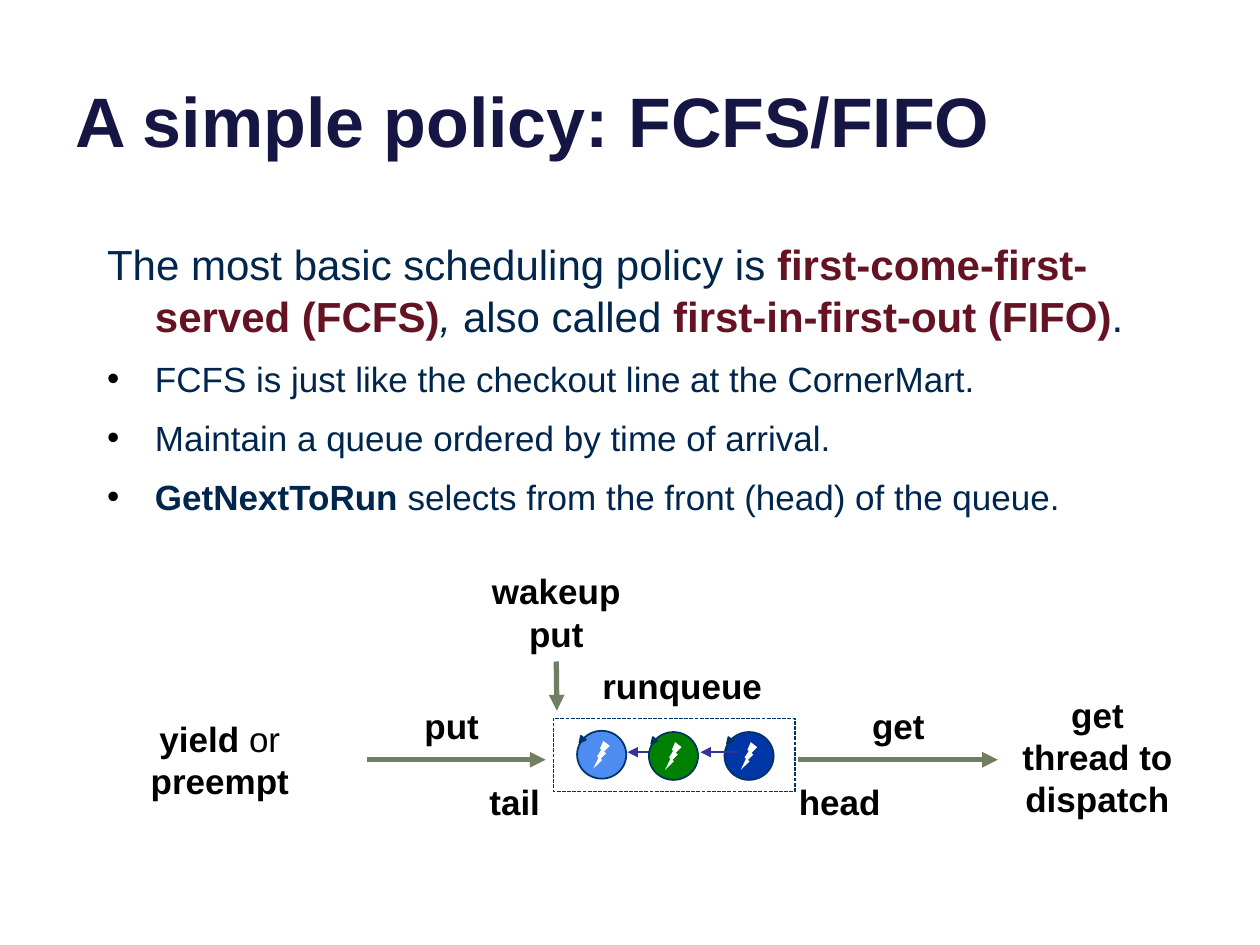
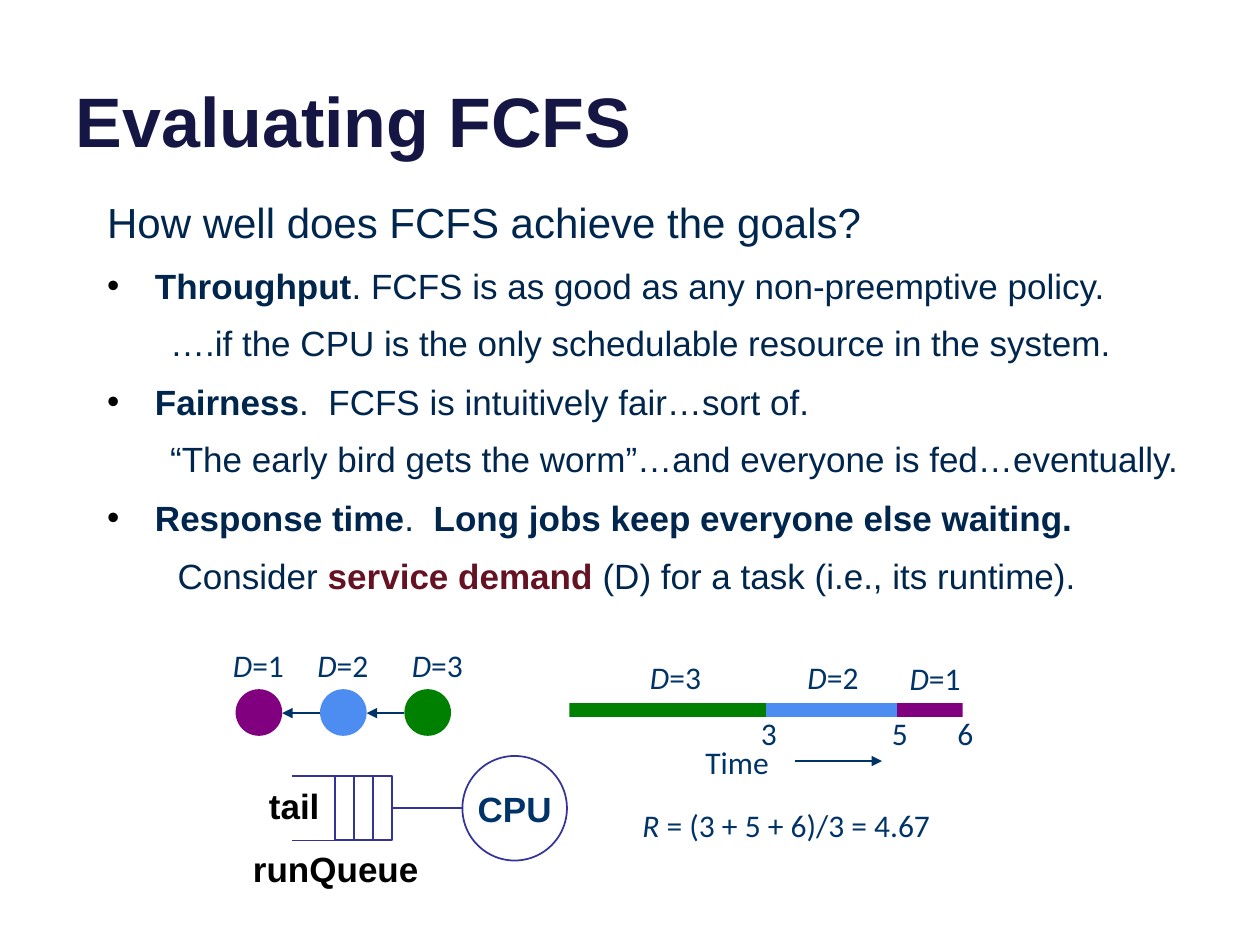
"""Builds two slides on first-come-first-served scheduling."""
from itertools import accumulate

from lxml.etree import SubElement
from pptx import Presentation
from pptx.dml.color import RGBColor
from pptx.enum.dml import MSO_LINE as Dash
from pptx.enum.shapes import MSO_CONNECTOR as Connector, MSO_SHAPE as Shape
from pptx.enum.text import MSO_ANCHOR as Anchor, MSO_AUTO_SIZE as AutoSize, PP_ALIGN as Align
from pptx.oxml.ns import qn
from pptx.util import Inches, Pt

WHITE = RGBColor(0xFF, 0xFF, 0xFF)
BLACK = RGBColor(0x00, 0x00, 0x00)
TITLE_NAVY = RGBColor(0x16, 0x16, 0x45)
BODY_NAVY = RGBColor(0x00, 0x26, 0x4D)
INK = RGBColor(0x00, 0x33, 0x67)
MAROON = RGBColor(0x65, 0x12, 0x22)
OLIVE = RGBColor(0x70, 0x7E, 0x62)
INDIGO = RGBColor(0x33, 0x33, 0x99)
SKY = RGBColor(0x4D, 0x8C, 0xF1)
GREEN = RGBColor(0x00, 0x80, 0x00)
ROYAL = RGBColor(0x00, 0x36, 0xA6)
PURPLE = RGBColor(0x80, 0x00, 0x80)

TITLE_FONT = {"name": "Arial", "size": Pt(40), "bold": True, "rgb": TITLE_NAVY}
LEAD_FONT = {"name": "Arial", "size": Pt(24), "bold": False, "rgb": BODY_NAVY}
POINT_FONT = {**LEAD_FONT, "size": Pt(20)}
LABEL_FONT = {"name": "Arial", "size": Pt(20), "bold": True, "rgb": BLACK}
CPU_FONT = {**LABEL_FONT, "rgb": INK}
MATH_FONT = {"name": "Calibri", "size": Pt(18), "rgb": INK}

PLAIN = {"bold": False}
BOLD = {"bold": True}
ITALIC = {"italic": True}
TERM = {"bold": True, "rgb": MAROON}

# kind: font, left margin, first-line indent, space before, bullet
PARAGRAPHS = {
    "lead": (LEAD_FONT, 0.38, -0.38, 9, False),
    "point": (POINT_FONT, 0.38, -0.38, 9, True),
    "remark": (POINT_FONT, 0.81, -0.31, 8, False),
    "aside": (POINT_FONT, 0.56, 0, 8, False),
}

POLICY = {
    "title": "A simple policy: FCFS/FIFO",
    "body_box": (0.75, 1.83, 8.5, 2.82),
    "body": [
        ("lead", [("The most basic scheduling policy is ", {}),
                  ("first-come-first-served (FCFS)", TERM), (", ", ITALIC),
                  ("also called ", {}), ("first-in-first-out (FIFO)", TERM), (".", {})]),
        ("point", [("FCFS is just like the checkout line at the CornerMart.", {})]),
        ("point", [("Maintain a queue ordered by time of arrival.", {})]),
        ("point", [("GetNextToRun", BOLD),
                   (" selects from the front (head) of the queue.", {})]),
    ],
}
EVALUATION = {
    "title": "Evaluating FCFS",
    "body_box": (0.75, 1.5, 9, 3.33),
    "body": [
        ("lead", [("How well does FCFS achieve the goals?", {})]),
        ("point", [("Throughput", BOLD),
                   (". FCFS is as good as any non-preemptive policy.", {})]),
        ("remark", [("….if the CPU is the only schedulable resource in the system.", {})]),
        ("point", [("Fairness", BOLD), (".  FCFS is intuitively fair…sort of.", {})]),
        ("remark", [("“The early bird gets the worm”…and everyone is fed…eventually.", {})]),
        ("point", [("Response time", BOLD), (".  ", {}),
                   ("Long jobs keep everyone else waiting.", BOLD)]),
        ("aside", [("Consider ", {}), ("service demand", TERM),
                   (" (D) for a task (i.e., its runtime).", {})]),
    ],
}

BOXED_LABELS = [
    ([("get", {})], (6.42, 5.54, 1.42, 0.44)),
    ([("put", {})], (3, 5.54, 1.17, 0.44)),
    ([("get thread to dispatch", {})], (8, 5.45, 1.42, 1.11)),
    ([("wakeup", {})], (3.75, 4.47, 1.33, 0.44)),
]
YIELD_LABEL = ([("yield", {}), (" or ", PLAIN), ("preempt", {})], (0.58, 5.81, 2.33, 0.44))
WAKEUP_PUT_LABEL = ([("put", {})], (3.83, 4.81, 1.17, 0.44))
QUEUE_LABELS = [
    ("tail", (3.5, 6.14, 1.17, 0.44)),
    ("head", (6.08, 6.14, 1.17, 0.44)),
    ("runqueue", (4.58, 5.22, 1.67, 0.44)),
]
THREADS = [(4.58, 5.8, SKY), (5.15, 5.81, GREEN), (5.75, 5.81, ROYAL)]

# demand, colour, left of queue label, left and top of timeline label
JOBS = [
    (3, GREEN, 3.17, 5.06, 5.17),
    (2, SKY, 2.42, 6.31, 5.17),
    (1, PURPLE, 1.75, 7.12, 5.18),
]
TIMELINE_LEFT, TIME_UNIT = 4.52, 0.52
CIRCLE_LEFT, CIRCLE_STEP, CIRCLE_SIZE = 1.87, 0.67, 0.37
SLOT_LEFT, SLOT_TOP, SLOT_WIDTH, SLOT_HEIGHT = 2.66, 6.16, 0.15, 0.51
RUN_QUEUE_LABELS = [
    ("tail", (1.75, 6.17, 1.17, 0.44)),
    ("runQueue", (1.83, 6.67, 1.67, 0.44)),
]


def inches(values):
    """Turn numbers into lengths."""
    return [Inches(value) for value in values]


def set_format(target, values):
    """Set each format value on a font, frame or shape."""
    for name, value in values.items():
        setattr(target.color if name == "rgb" else target, name, value)


def add_runs(paragraph, runs, font):
    """Write styled runs on top of a base font."""
    for text, style in runs:
        run = paragraph.add_run()
        run.text = text
        set_format(run.font, {**font, **style})


def place(shape, box):
    """Move and size a placeholder."""
    set_format(shape, dict(zip(("left", "top", "width", "height"), inches(box))))


def add_slide(presentation, content):
    """Add a slide with its title and body text."""
    slide = presentation.slides.add_slide(presentation.slide_layouts[1])
    title, body = slide.placeholders
    place(title, (0.5, -0.37, 9, 1.7))
    set_format(title.text_frame, {"vertical_anchor": Anchor.BOTTOM, "auto_size": AutoSize.NONE})
    paragraph = title.text_frame.paragraphs[0]
    paragraph.alignment = Align.LEFT
    add_runs(paragraph, [(content["title"], {})], TITLE_FONT)

    place(body, content["body_box"])
    frame = body.text_frame
    frame.auto_size = AutoSize.NONE
    for index, (kind, runs) in enumerate(content["body"]):
        paragraph = frame.add_paragraph() if index else frame.paragraphs[0]
        font, margin, indent, before, bullet = PARAGRAPHS[kind]
        set_format(paragraph, {"space_before": Pt(before), "line_spacing": 1.03,
                               "level": int(kind in ("remark", "aside"))})
        properties = paragraph._p.get_or_add_pPr()
        properties.set("marL", str(Inches(margin)))
        properties.set("indent", str(Inches(indent)))
        if bullet:
            colour = SubElement(properties, qn("a:buClr"))
            SubElement(colour, qn("a:srgbClr"), val=str(BLACK))
            SubElement(properties, qn("a:buChar"), char="•")
        else:
            SubElement(properties, qn("a:buNone"))
        add_runs(paragraph, runs, font)
    return slide


def add_shape(slide, kind, box, fill=None, line=None, width=1):
    """Add a flat preset shape."""
    shape = slide.shapes.add_shape(kind, *inches(box))
    shape.shadow.inherit = False
    for part, colour in ((shape.fill, fill), (shape.line.fill, line)):
        if colour is None:
            part.background()
        else:
            part.solid()
            part.fore_color.rgb = colour
    if line is not None:
        shape.line.width = Pt(width)
    return shape


def add_line(slide, start, end, colour, width=1, arrow=True):
    """Add a straight line, with an arrowhead at its end by default."""
    line = slide.shapes.add_connector(Connector.STRAIGHT, *inches((*start, *end)))
    line.line.color.rgb = colour
    line.line.width = Pt(width)
    if arrow:
        SubElement(line.line._get_or_add_ln(), qn("a:tailEnd"), type="triangle")
    SubElement(line._element.spPr, qn("a:effectLst"))
    return line


def add_label(slide, runs, box, boxed=False):
    """Add a centred bold label, on a white box if asked."""
    if boxed:
        label = add_shape(slide, Shape.RECTANGLE, box, WHITE)
    else:
        label = slide.shapes.add_textbox(*inches(box))
    set_format(label.text_frame, {"word_wrap": True, "vertical_anchor": Anchor.MIDDLE})
    paragraph = label.text_frame.paragraphs[0]
    paragraph.alignment = Align.CENTER
    add_runs(paragraph, runs, LABEL_FONT)
    return label


def add_math(slide, runs, left, top, width):
    """Add a one-line note that does not wrap."""
    note = slide.shapes.add_textbox(*inches((left, top, width, 0.4)))
    set_format(note.text_frame, {"word_wrap": False, "auto_size": AutoSize.SHAPE_TO_FIT_TEXT})
    add_runs(note.text_frame.paragraphs[0], runs, MATH_FONT)


def add_thread(slide, left, top, colour):
    """Add a thread: a circle with a bolt and a loop arrowhead."""
    add_shape(slide, Shape.OVAL, (left, top, 0.39, 0.38), colour, INK)
    bolt = add_shape(slide, Shape.LIGHTNING_BOLT, (left + 0.13, top + 0.08, 0.13, 0.22), WHITE)
    bolt._element.spPr.get_or_add_xfrm().set("flipH", "1")
    tip = add_shape(slide, Shape.ISOSCELES_TRIANGLE, (left + 0.01, top + 0.05, 0.05, 0.05),
                    INK, INK)
    tip.rotation = 219


def draw_policy(slide):
    """Draw the run queue with its inputs and output."""
    for runs, box in BOXED_LABELS:
        add_label(slide, runs, box, boxed=True)
    yield_label = add_label(slide, *YIELD_LABEL, boxed=True)
    wakeup_put = add_label(slide, *WAKEUP_PUT_LABEL)
    add_line(slide, (6.33, 6.03), (7.92, 6.03), OLIVE, 3)
    add_line(slide, (2.91, 6.03), (4.33, 6.03), OLIVE, 3).begin_connect(yield_label, 3)
    add_line(slide, (4.42, 5.25), (4.42, 5.64), OLIVE, 3).begin_connect(wakeup_put, 2)

    add_line(slide, (5.27, 5.97), (4.98, 5.97), INDIGO)
    for thread in THREADS:
        add_thread(slide, *thread)
    queue = add_shape(slide, Shape.RECTANGLE, (4.39, 5.7, 1.92, 0.58), line=INK, width=0.75)
    queue.line.dash_style = Dash.SQUARE_DOT
    add_line(slide, (5.86, 5.97), (5.56, 5.97), INDIGO)
    for text, box in QUEUE_LABELS:
        add_label(slide, [(text, {})], box)


def draw_jobs(slide):
    """Draw the waiting jobs and the timeline on which they run."""
    finishes = accumulate(job[0] for job in JOBS)
    for (demand, colour, queue_left, bar_left, bar_top), finish in zip(JOBS, finishes):
        label = [("D", ITALIC), (f"={demand}", {})]
        end = TIMELINE_LEFT + finish * TIME_UNIT
        width = demand * TIME_UNIT
        add_shape(slide, Shape.RECTANGLE, (end - width, 5.58, width, 0.11), colour)
        add_math(slide, [(str(finish), {})], end - 0.14, 5.62, 0.33)
        add_math(slide, label, bar_left, bar_top, 0.61)

        left = CIRCLE_LEFT + (demand - 1) * CIRCLE_STEP
        add_shape(slide, Shape.OVAL, (left, 5.47, CIRCLE_SIZE, CIRCLE_SIZE), colour)
        add_math(slide, label, queue_left, 5.08, 0.61)
        if demand > 1:
            add_line(slide, (left, 5.66), (left - CIRCLE_STEP + CIRCLE_SIZE, 5.66), INK)

    add_math(slide, [("Time", {})], 5.5, 5.85, 0.73)
    add_line(slide, (6.31, 6.04), (7, 6.04), INK)
    add_math(slide, [("R", ITALIC), (" = (3 + 5 + 6)/3 = 4.67", {})], 5, 6.35, 2.52)


def draw_processor(slide):
    """Draw the run queue feeding the processor."""
    for index in range(3):
        slot = add_shape(slide, Shape.RECTANGLE,
                         (SLOT_LEFT + index * SLOT_WIDTH, SLOT_TOP, SLOT_WIDTH, SLOT_HEIGHT),
                         WHITE, INDIGO)
    for y in (SLOT_TOP, SLOT_TOP + SLOT_HEIGHT):
        add_line(slide, (2.32, y), (SLOT_LEFT, y), INDIGO, arrow=False)
    middle = SLOT_TOP + SLOT_HEIGHT / 2
    processor = add_shape(slide, Shape.OVAL, (3.67, 6, 0.83, 0.83), WHITE, INDIGO)
    frame = processor.text_frame
    set_format(frame, {"word_wrap": False, "vertical_anchor": Anchor.MIDDLE,
                       "margin_left": 0, "margin_right": 0})
    frame.paragraphs[0].alignment = Align.CENTER
    add_runs(frame.paragraphs[0], [("CPU", {})], CPU_FONT)
    add_line(slide, (3.11, middle), (3.67, middle), INDIGO, arrow=False).begin_connect(slot, 3)
    for text, box in RUN_QUEUE_LABELS:
        add_label(slide, [(text, {})], box)


def main():
    """Build and save the presentation."""
    presentation = Presentation()
    set_format(presentation, {"slide_width": Inches(10), "slide_height": Inches(7.5)})
    draw_policy(add_slide(presentation, POLICY))
    evaluation = add_slide(presentation, EVALUATION)
    draw_jobs(evaluation)
    draw_processor(evaluation)
    presentation.save("out.pptx")


if __name__ == "__main__":
    main()
